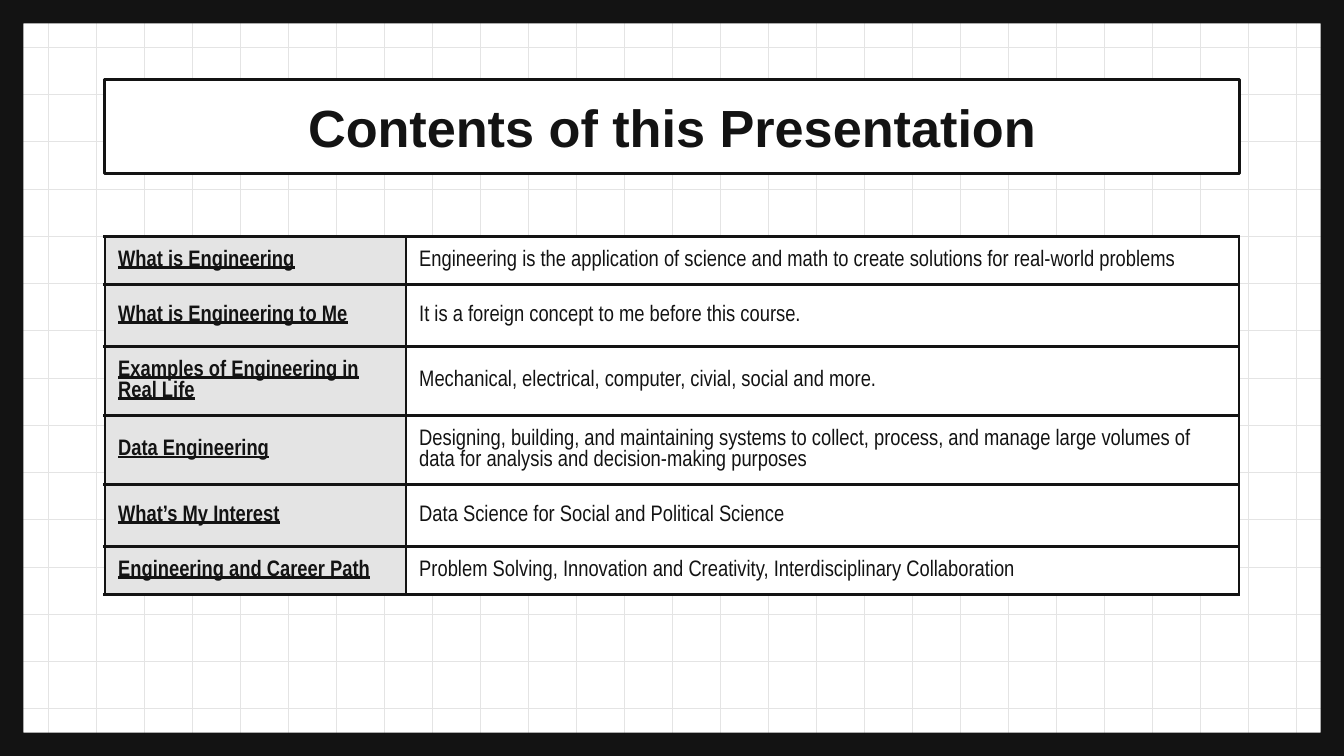
"""Build a contents slide with a framed grid, a boxed title and a table."""
from pptx import Presentation
from pptx.dml.color import RGBColor
from pptx.enum.shapes import MSO_CONNECTOR, MSO_SHAPE
from pptx.enum.text import MSO_ANCHOR, MSO_AUTO_SIZE, PP_ALIGN
from pptx.oxml import parse_xml
from pptx.oxml.ns import nsdecls
from pptx.util import Pt

LINE = MSO_CONNECTOR.STRAIGHT
FRAME = MSO_SHAPE.FRAME
MIDDLE = MSO_ANCHOR.MIDDLE
FIXED = MSO_AUTO_SIZE.NONE
CENTER = PP_ALIGN.CENTER
INK = RGBColor(0x13, 0x13, 0x13)
GRAY = RGBColor(0xE4, 0xE4, 0xE4)
WHITE = RGBColor(0xFF, 0xFF, 0xFF)
WIDE, HIGH = 720, 405
LEFT, SPAN = 56.1, 607.8
PAD = Pt(7.2)
ROWS = [
    ("What is Engineering", "Engineering is the application of science and math to create solutions for real-world problems", 25.7),
    ("What is Engineering to Me", "It is a foreign concept to me before this course.", 33.2),
    ("Examples of Engineering in Real Life", "Mechanical, electrical, computer, civial, social and more.", 25.7),
    ("Data Engineering", "Designing, building, and maintaining systems to collect, process, and manage large volumes of data for analysis and decision-making purposes", 25.7),
    ("What’s My Interest", "Data Science for Social and Political Science", 33.2),
    ("Engineering and Career Path", "Problem Solving, Innovation and Creativity, Interdisciplinary Collaboration", 25.7),
]


def rule(x1, y1, x2, y2):
    line = shapes.add_connector(LINE, Pt(x1), Pt(y1), Pt(x2), Pt(y2))
    line.line.color.rgb = GRAY
    line.line.width = Pt(0.38)
    line.element.spPr.append(parse_xml(f"<a:effectLst {nsdecls('a')}/>"))


def write(para, text, face, size, bold):
    run = para.add_run()
    run.text = text
    run.font.name = face
    run.font.size = Pt(size)
    run.font.bold = bold
    run.font.color.rgb = INK
    return run


prs = Presentation()
prs.slide_width, prs.slide_height = Pt(WIDE), Pt(HIGH)
slide = prs.slides.add_slide(prs.slide_layouts[5])
slide.background.fill.solid()
slide.background.fill.fore_color.rgb = WHITE
shapes = slide.shapes

for i in range(1, 16):
    rule(0, HIGH * i / 16, WIDE, HIGH * i / 16)
for i in range(1, 28):
    rule(WIDE * i / 28, 0, WIDE * i / 28, HIGH)

frame = shapes.add_shape(FRAME, 0, 0, Pt(WIDE), Pt(HIGH))
frame.adjustments[0] = 0.031
frame.shadow.inherit = False
frame.fill.solid()
frame.fill.fore_color.rgb = INK
frame.line.fill.background()

title = shapes.title
title.element.getparent().append(title.element)
title.left, title.top, title.width, title.height = Pt(LEFT), Pt(42.5), Pt(SPAN), Pt(50.4)
title.fill.solid()
title.fill.fore_color.rgb = WHITE
title.line.color.rgb = INK
title.line.width = Pt(1.5)
box = title.text_frame
box.auto_size = FIXED
box.word_wrap = True
box.vertical_anchor = MIDDLE
box.margin_left = box.margin_right = box.margin_top = box.margin_bottom = PAD
box.paragraphs[0].alignment = CENTER
write(box.paragraphs[0], "Contents of this Presentation", "Arial", 28, True)

high = sum(row[2] for row in ROWS)
table = shapes.add_table(len(ROWS), 2, Pt(LEFT), Pt(126.7), Pt(SPAN), Pt(high)).table
table.first_row = table.horz_banding = False
table.columns[0].width = Pt(161.3)
table.columns[1].width = Pt(SPAN - 161.3)
for r, (*texts, tall) in enumerate(ROWS):
    table.rows[r].height = Pt(tall)
    for c, text in enumerate(texts):
        cell = table.cell(r, c)
        cell.vertical_anchor = MIDDLE
        cell.margin_left = cell.margin_right = cell.margin_top = cell.margin_bottom = PAD
        props = cell._tc.get_or_add_tcPr()
        for side in "LRTB":
            props.append(parse_xml(
                f'<a:ln{side} {nsdecls("a")} w="{Pt(1.5)}"><a:solidFill>'
                f'<a:srgbClr val="{INK}"/></a:solidFill></a:ln{side}>'))
        cell.fill.solid()
        cell.fill.fore_color.rgb = WHITE if c else GRAY
        run = write(cell.text_frame.paragraphs[0], text, "Arial Narrow", 12, c == 0)
        run.font.underline = c == 0

prs.save("out.pptx")
